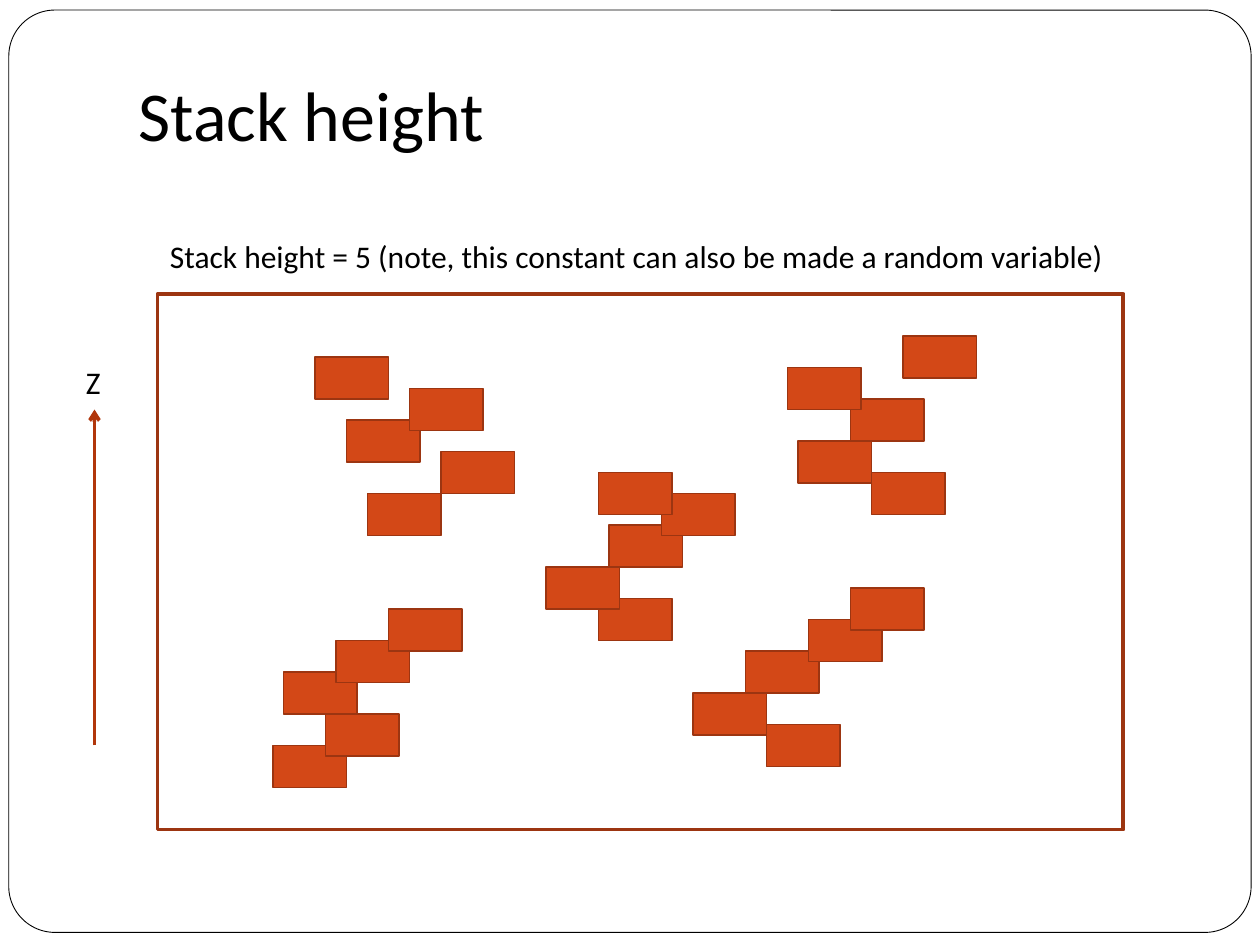
import pptx
import pptx.util
import pptx.dml.color
import pptx.enum.shapes
import pptx.enum.text
import pptx.oxml.ns
import lxml.etree

COLORS = {"paper": "FFFFFF", "ink": "000000", "brick": "D34817",
          "edge": "9C3511", "arrow": "B1360B"}
FONT = "Calibri"
CELLS_PER_INCH = 12
COLUMNS, ROWS = 120, 90
BRICK_WIDTH, BRICK_HEIGHT = 7, 4

# Column and row of each brick inside the frame, from bottom to top of a stack.
STACKS = [
    [(11, 43), (16, 40), (12, 36), (17, 33), (22, 30)],
    [(42, 29), (37, 26), (43, 22), (48, 19), (42, 17)],
    [(58, 41), (51, 38), (56, 34), (62, 31), (66, 28)],
    [(68, 17), (61, 14), (66, 10), (60, 7), (71, 4)],
    [(20, 19), (27, 15), (18, 12), (24, 9), (15, 6)],
]


def cells(count):
    return pptx.util.Inches(count / CELLS_PER_INCH)


def color(name):
    return pptx.dml.color.RGBColor.from_string(COLORS[name])


def add_block(page, box, fill, line, weight, kind="RECTANGLE"):
    shape_type = getattr(pptx.enum.shapes.MSO_SHAPE, kind)
    block = page.shapes.add_shape(shape_type, *map(cells, box))
    block.shadow.inherit = False
    if fill:
        block.fill.solid()
        block.fill.fore_color.rgb = color(fill)
    else:
        block.fill.background()
    block.line.color.rgb = color(line)
    block.line.width = pptx.util.Pt(weight)
    return block


def write_text(text_frame, text, size):
    para = text_frame.paragraphs[0]
    para.alignment = pptx.enum.text.PP_ALIGN.LEFT
    span = para.add_run()
    span.text = text
    span.font.name = FONT
    span.font.size = pptx.util.Pt(size)
    span.font.color.rgb = color("ink")


def add_label(page, box, text):
    label = page.shapes.add_textbox(*map(cells, box))
    label.text_frame.word_wrap = False
    label.text_frame.auto_size = pptx.enum.text.MSO_AUTO_SIZE.SHAPE_TO_FIT_TEXT
    write_text(label.text_frame, text, 18)


def place_title(page, box, text):
    title = page.shapes.title
    title.left, title.top, title.width, title.height = map(cells, box)
    frame = title.text_frame
    frame.word_wrap = True
    frame.auto_size = pptx.enum.text.MSO_AUTO_SIZE.NONE
    frame.vertical_anchor = pptx.enum.text.MSO_ANCHOR.BOTTOM
    frame.margin_left = frame.margin_right = pptx.util.Inches(0.1)
    frame.margin_top = pptx.util.Inches(0.05)
    frame.margin_bottom = pptx.util.Inches(0.1)
    write_text(frame, text, 40)


def add_card(page, box):
    """Draw the rounded page border behind the title."""
    card = add_block(page, box, "paper", "ink", 0.5, "ROUNDED_RECTANGLE")
    card.adjustments[0] = 0.05
    page.shapes.title.element.addprevious(card.element)


def add_height_axis(page, box):
    """Draw an upward arrow with its letter above it."""
    left, top, width, height = box
    middle = left + width / 2
    axis = page.shapes.add_connector(
        pptx.enum.shapes.MSO_CONNECTOR.STRAIGHT,
        cells(middle), cells(top + height), cells(middle), cells(top + 5))
    axis.line.color.rgb = color("arrow")
    axis.line.width = pptx.util.Pt(2)
    qn = pptx.oxml.ns.qn
    lxml.etree.SubElement(axis.line._get_or_add_ln(), qn("a:tailEnd"), type="arrow")
    lxml.etree.SubElement(axis.element.spPr, qn("a:effectLst"))
    add_label(page, (left, top, width, 4.8), "Z")


def add_stacks(page, box):
    left, top, width, height = box
    add_block(page, box, None, "edge", 2.25)
    for stack in STACKS:
        for column, row in stack:
            brick = (left + column, top + row, BRICK_WIDTH, BRICK_HEIGHT)
            add_block(page, brick, "brick", "edge", 1)
    add_label(page, (left, top - 6, width, 4.8),
              "Stack height = 5 (note, this constant can also be made a random variable)")


def main():
    deck = pptx.Presentation()
    deck.slide_width, deck.slide_height = cells(COLUMNS), cells(ROWS)
    page = deck.slides.add_slide(deck.slide_layouts.get_by_name("Title Only"))
    page.background.fill.solid()
    page.background.fill.fore_color.rgb = color("paper")
    add_card(page, (0.84, 0.96, 118.32, 87.84))
    place_title(page, (12, 1, 102, 15), "Stack height")
    add_height_axis(page, (7, 34, 4, 37))
    add_stacks(page, (15, 28, 92, 51))
    deck.save("out.pptx")


if __name__ == "__main__":
    main()
